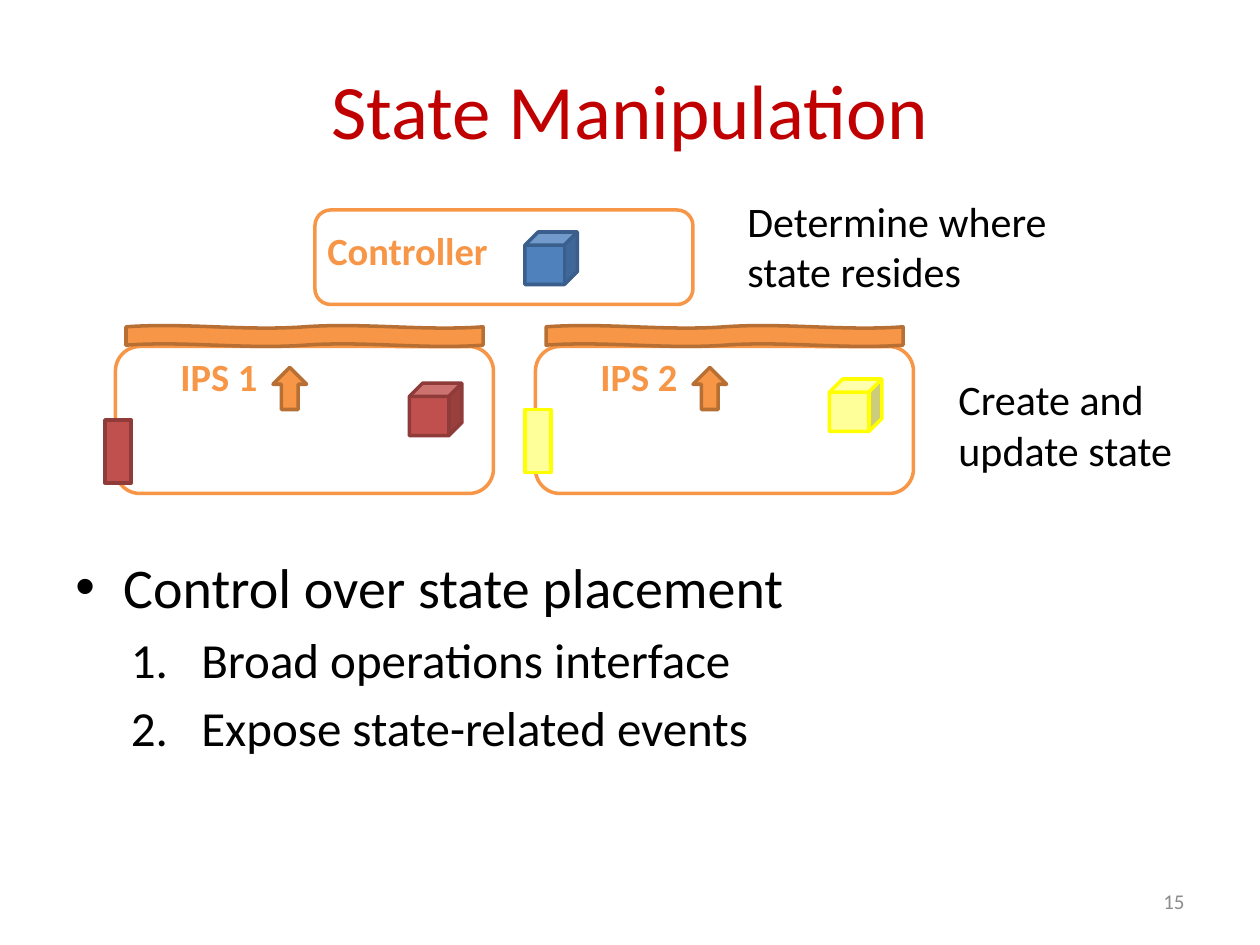
from dataclasses import dataclass
from typing import Optional

from lxml import etree
from pptx import Presentation
from pptx.dml.color import RGBColor
from pptx.enum.shapes import MSO_SHAPE
from pptx.enum.text import MSO_ANCHOR, PP_ALIGN
from pptx.oxml.ns import qn
from pptx.util import Inches, Pt

ROUND = MSO_SHAPE.ROUNDED_RECTANGLE
RECT = MSO_SHAPE.RECTANGLE
WAVE = MSO_SHAPE.DOUBLE_WAVE
CUBE = MSO_SHAPE.CUBE
ARROW = MSO_SHAPE.UP_ARROW
TOP, MIDDLE = MSO_ANCHOR.TOP, MSO_ANCHOR.MIDDLE
LEFT, CENTER, RIGHT = PP_ALIGN.LEFT, PP_ALIGN.CENTER, PP_ALIGN.RIGHT


@dataclass(frozen=True)
class Theme:
    """Colours, type sizes and the grid of the slide."""
    font: str = "Calibri"
    title: str = "C00000"
    ink: str = "000000"
    muted: str = "8C8C8C"
    accent: str = "F79646"
    accent_edge: str = "B76F34"
    red: str = "C0504D"
    red_edge: str = "8E3B39"
    blue: str = "4F81BD"
    blue_edge: str = "3A5F8C"
    yellow: str = "FFFF99"
    yellow_edge: str = "FFFF00"
    title_size: int = 44
    body_size: int = 32
    item_size: int = 28
    note_size: int = 24
    label_size: int = 22
    number_size: int = 12
    line: int = 2
    columns: int = 120
    rows: int = 90


T = Theme()


@dataclass(frozen=True)
class Box:
    """A place on the grid, in columns and rows."""
    x: float
    y: float
    w: float
    h: float


@dataclass(frozen=True)
class Bullet:
    """A list paragraph with its marker and indents in inches."""
    text: str
    size: int
    level: int
    margin: float
    hanging: float
    tag: str
    attr: str
    value: str


@dataclass(frozen=True)
class Ips:
    """An IPS instance with its state colours and the rows of its parts."""
    name: str
    x: float
    fill: str
    edge: str
    cube_y: float
    tab_y: float


BULLETS = (
    Bullet("Control over state placement", T.body_size, 0, 0.38, 0.38,
           "a:buChar", "char", "•"),
    *(Bullet(text, T.item_size, 1, 1, 0.56, "a:buAutoNum", "type", "arabicPeriod")
      for text in ("Broad operations interface", "Expose state-related events")),
)
INSTANCES = (
    Ips("IPS 1", 11, T.red, T.red_edge, 36.5, 40),
    Ips("IPS 2", 51, T.yellow, T.yellow_edge, 36.1, 39),
)


def place(prs, box: Box) -> tuple:
    """Turn grid columns and rows into slide lengths."""
    col, row = prs.slide_width / T.columns, prs.slide_height / T.rows
    return int(box.x * col), int(box.y * row), int(box.w * col), int(box.h * row)


def style(p, size: int, color: str, bold: bool = False) -> None:
    """Format the runs of a paragraph."""
    for r in p.runs:
        r.font.name, r.font.size, r.font.bold = T.font, Pt(size), bold
        r.font.color.rgb = RGBColor.from_string(color)


def add_text(prs, s, box: Box, text: str, size: int, color: str, bold: bool = False,
             align=LEFT, anchor=TOP, wrap: bool = True):
    """Add a text box and return its frame."""
    tf = s.shapes.add_textbox(*place(prs, box)).text_frame
    tf.word_wrap, tf.vertical_anchor = wrap, anchor
    tf.text = text
    for p in tf.paragraphs:
        p.alignment = align
        style(p, size, color, bold)
    return tf


def add_shape(prs, s, kind, box: Box, edge: str, fill: Optional[str] = None) -> None:
    """Add an outlined shape, filled when a fill is given."""
    sp = s.shapes.add_shape(kind, *place(prs, box))
    sp.shadow.inherit = False
    sp.line.color.rgb = RGBColor.from_string(edge)
    sp.line.width = Pt(T.line)
    if fill:
        sp.fill.solid()
        sp.fill.fore_color.rgb = RGBColor.from_string(fill)
    else:
        sp.fill.background()


def add_bullets(prs, s, box: Box) -> None:
    """Add the list below the diagram."""
    tf = add_text(prs, s, box, "\n".join(b.text for b in BULLETS), T.body_size, T.ink)
    for i, (p, b) in enumerate(zip(tf.paragraphs, BULLETS)):
        p.level = b.level
        p.space_before = Pt(b.size * 0.2 if i else 0)
        pPr = p._p.get_or_add_pPr()
        pPr.set("marL", str(Inches(b.margin)))
        pPr.set("indent", str(-Inches(b.hanging)))
        if b.tag == "a:buChar":
            etree.SubElement(pPr, qn("a:buFont")).set("typeface", "Arial")
        etree.SubElement(pPr, qn(b.tag)).set(b.attr, b.value)
        style(p, b.size, T.ink)


def add_controller(prs, s) -> None:
    """Add the controller with its state cube."""
    add_shape(prs, s, ROUND, Box(30, 20, 36, 9), T.accent)
    add_text(prs, s, Box(30, 21, 35, 5.6), "Controller", T.label_size, T.accent, True)
    add_shape(prs, s, CUBE, Box(50, 22.1, 5, 5), T.blue_edge, T.blue)


def add_ips(prs, s, ips: Ips) -> None:
    """Add an IPS with its interface, arrow, state cube and side tab."""
    add_shape(prs, s, ROUND, Box(ips.x, 33, 36, 14), T.accent)
    add_text(prs, s, Box(ips.x + 5, 33, 15.5, 5.6), ips.name, T.label_size, T.accent, True)
    add_shape(prs, s, WAVE, Box(ips.x + 1, 31, 34, 2), T.accent_edge, T.accent)
    add_shape(prs, s, CUBE, Box(ips.x + 28, ips.cube_y, 5, 5), ips.edge, ips.fill)
    add_shape(prs, s, RECT, Box(ips.x - 1, ips.tab_y, 2.5, 6), ips.edge, ips.fill)
    add_shape(prs, s, ARROW, Box(ips.x + 15, 35, 3.2, 4), T.accent_edge, T.accent)


def main() -> None:
    """Build and save the slide."""
    prs = Presentation()
    prs.slide_width, prs.slide_height = Inches(10), Inches(7.5)
    s = prs.slides.add_slide(prs.slide_layouts[6])
    add_text(prs, s, Box(6, 3.6, 108, 13.5), "State Manipulation", T.title_size, T.title,
             align=CENTER, anchor=MIDDLE)
    add_bullets(prs, s, Box(6, 52, 108, 28.4))
    add_text(prs, s, Box(86, 83.4, 28, 4.8), "15", T.number_size, T.muted,
             align=RIGHT, anchor=MIDDLE)
    add_controller(prs, s)
    for ips in INSTANCES:
        add_ips(prs, s, ips)
    add_text(prs, s, Box(70, 18, 31.2, 10.9), "Determine where\vstate resides",
             T.note_size, T.ink, wrap=False)
    add_text(prs, s, Box(90.1, 35, 22.9, 10.9), "Create and\nupdate state",
             T.note_size, T.ink, wrap=False)
    prs.save("out.pptx")


if __name__ == "__main__":
    main()
